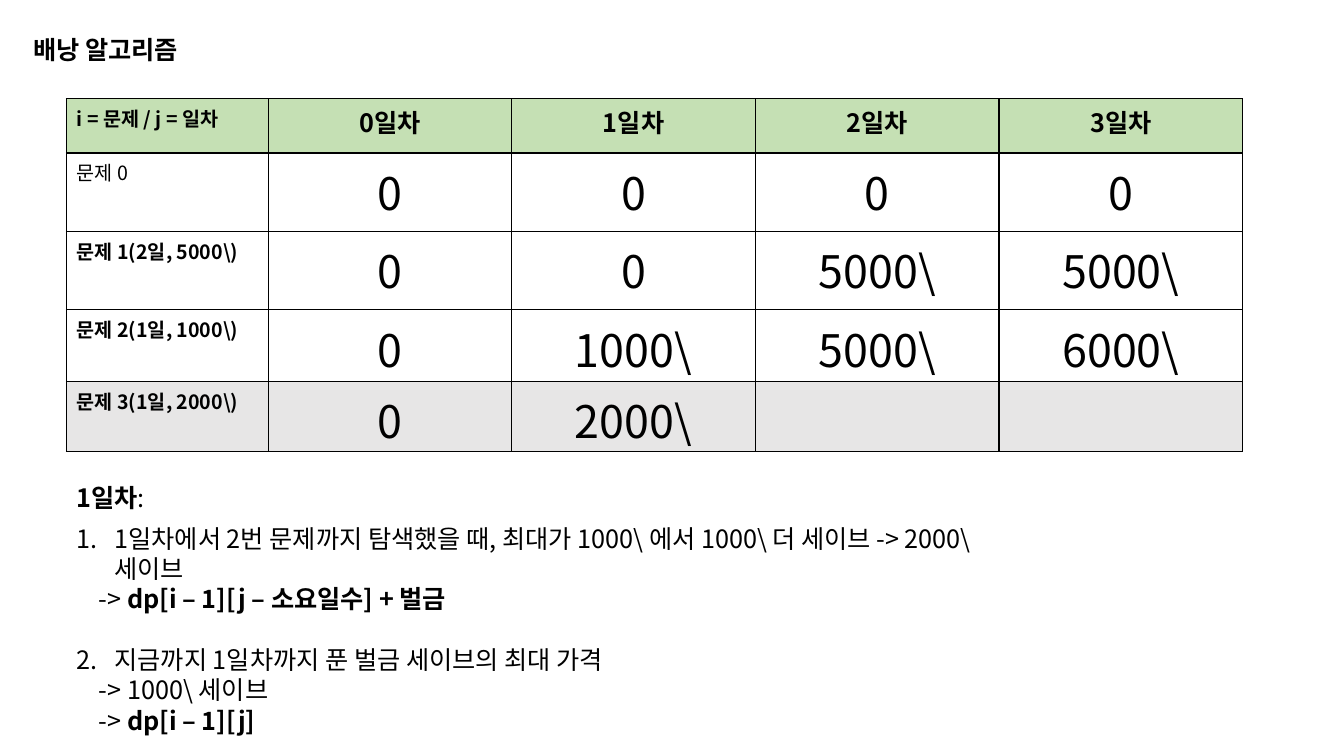
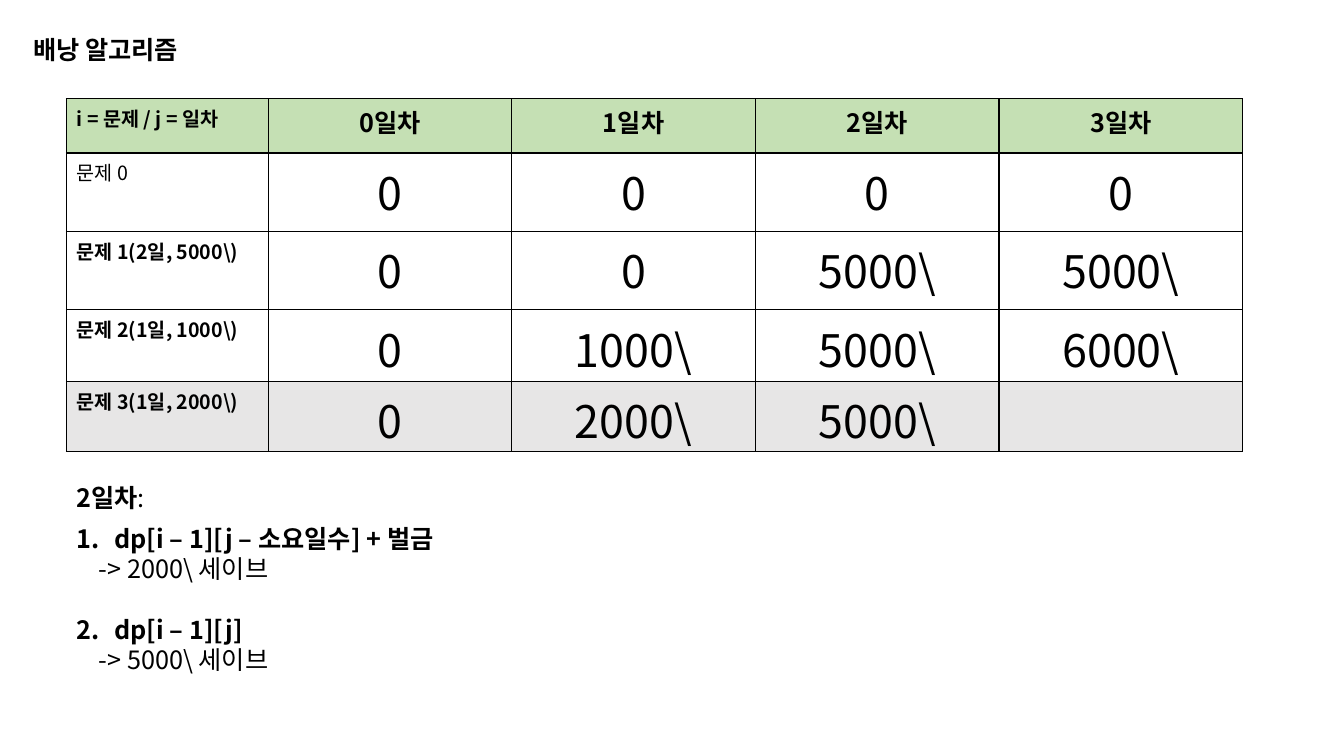
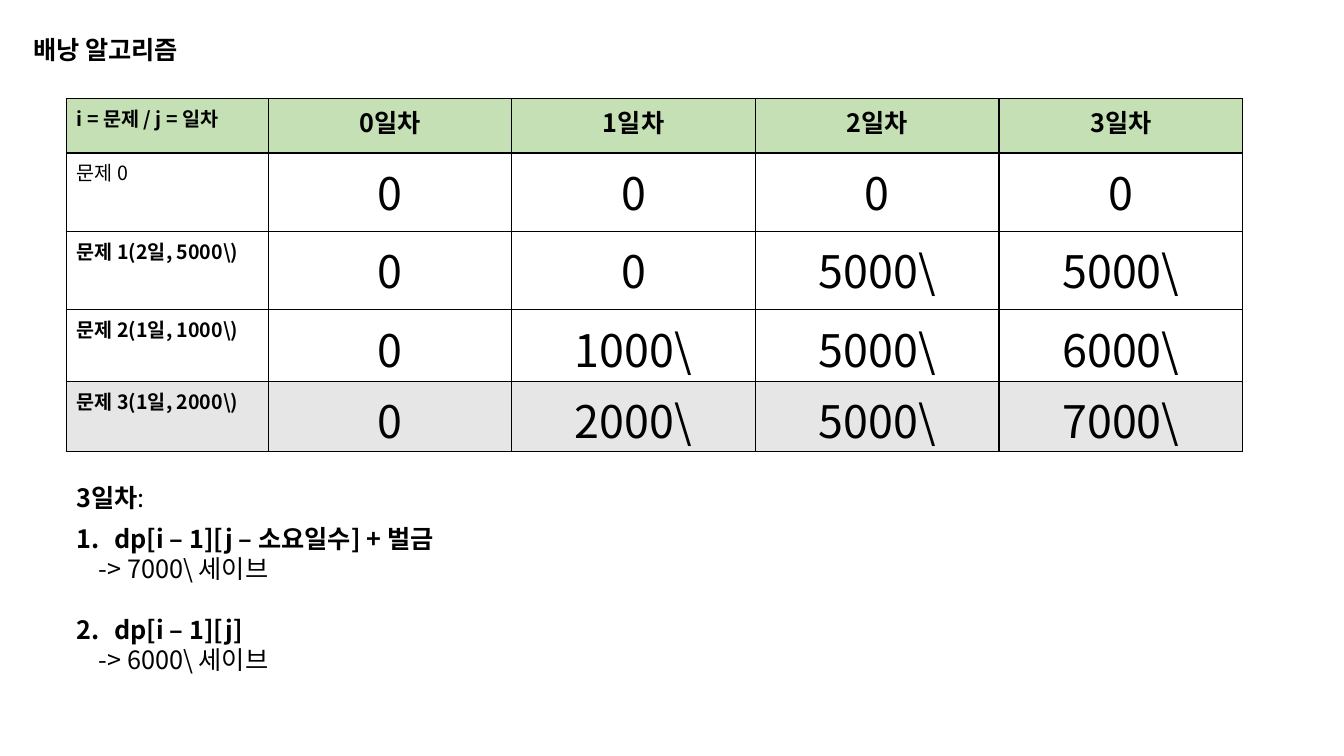
import pptx
import pptx.util
import pptx.dml.color
import pptx.enum.text
import pptx.oxml.ns
import lxml.etree

deck = pptx.Presentation()
deck.slide_width = pptx.util.Inches(13.33)
deck.slide_height = pptx.util.Inches(7.5)
wide = deck.slide_width / 100
tall = deck.slide_height / 100

ink = {"text": "000000", "head": "C5E0B4", "last": "E7E6E6"}
face = "Noto Sans CJK KR"
align = pptx.enum.text.PP_ALIGN
qn = pptx.oxml.ns.qn

widths = [15] + [18.13] * 4
heights = [7.2, 10.4, 10.35, 9.45, 9.05]
left = 4.95
step = 2.82 * wide
inset = 1.65 * wide
line = 21.8

grid = [
    ["i = 문제 / j = 일차"] + [f"{day}일차" for day in range(4)],
    ["문제 0", "0", "0", "0", "0"],
    ["문제 1(2일, 5000\\)", "0", "0", "5000\\", "5000\\"],
    ["문제 2(1일, 1000\\)", "0", "1000\\", "5000\\", "6000\\"],
    ["문제 3(1일, 2000\\)", "0", "2000\\", "5000\\", "7000\\"],
]
take = "dp[i – 1][j – 소요일수] + 벌금"
skip = "dp[i – 1][j]"
days = [
    [
        (1, "1일차에서 2번 문제까지 탐색했을 때, 최대가 1000\\ 에서 1000\\ 더 세이브 -> 2000\\ 세이브", ""),
        (0, "-> ", take),
        (2, "지금까지 1일차까지 푼 벌금 세이브의 최대 가격", ""),
        (0, "-> 1000\\ 세이브", ""),
        (0, "-> ", skip),
    ]
] + [
    [(1, "", take), (0, f"-> {gain}\\ 세이브", ""), (2, "", skip), (0, f"-> {keep}\\ 세이브", "")]
    for gain, keep in [(2000, 5000), (7000, 6000)]
]


def write(para, plain, strong, size, side=align.LEFT):
    para.alignment = side
    para.line_spacing = 1.0
    para.space_before = para.space_after = pptx.util.Pt(0)
    font = para.font
    font.name = face
    font.size = pptx.util.Pt(size)
    font.color.rgb = pptx.dml.color.RGBColor.from_string(ink["text"])
    base = para._p.pPr.find(qn("a:defRPr"))
    lxml.etree.SubElement(base, qn("a:ea"), typeface=face)
    parts = [(text, bold) for text, bold in [(plain, False), (strong, True)] if text]
    font.bold = bool(strong) and not plain
    for text, bold in parts:
        run = para.add_run()
        run.text = text
        if len(parts) > 1:
            run.font.bold = bold


def place(shape, left, top, width, height):
    shape.left, shape.width = int(left * wide), int(width * wide)
    shape.top, shape.height = int(top * tall), int(height * tall)
    frame = shape.text_frame
    frame.word_wrap = True
    frame.auto_size = pptx.enum.text.MSO_AUTO_SIZE.NONE
    frame.vertical_anchor = pptx.enum.text.MSO_ANCHOR.TOP
    return frame


for day, steps in enumerate(days, 1):
    slide = deck.slides.add_slide(deck.slide_layouts[1])
    title = place(slide.shapes.title, 1.72, 3.85, 14.1, 5.4)
    write(title.paragraphs[0], "", "배낭 알고리즘", 18)

    table = slide.shapes.add_table(
        len(grid), len(widths), int(left * wide), int(13.05 * tall),
        int(sum(widths) * wide), int(sum(heights) * tall),
    ).table
    table.horz_banding = table.first_row = False
    for col, width in zip(table.columns, widths):
        col.width = int(width * wide)
    for row, height in zip(table.rows, heights):
        row.height = int(height * tall)
    for r, texts in enumerate(grid):
        for c, text in enumerate(texts):
            cell = table.cell(r, c)
            cell.margin_bottom = 0
            shade = {0: "head", 4: "last"}.get(r)
            if shade:
                cell.fill.solid()
                cell.fill.fore_color.rgb = pptx.dml.color.RGBColor.from_string(ink[shade])
            else:
                cell.fill.background()
            if r == 4 and c > day + 1:
                text = ""
            bold = r == 0 or (c == 0 and r > 1)
            size = 14 if c == 0 else 18 if r == 0 else 32
            side = align.CENTER if c else align.LEFT
            write(cell.text_frame.paragraphs[0], "" if bold else text, text if bold else "", size, side)
            props = cell._tc.get_or_add_tcPr()
            for spot, edge in enumerate(["lnL", "lnR", "lnT", "lnB"]):
                rule = lxml.etree.Element(qn("a:" + edge), w="12700")
                fill = lxml.etree.SubElement(rule, qn("a:solidFill"))
                lxml.etree.SubElement(fill, qn("a:srgbClr"), val=ink["text"])
                props.insert(spot, rule)

    label = place(slide.shapes.add_textbox(0, 0, 0, 0), left, 63.2, 31.8, 5.4)
    head = label.paragraphs[0]
    write(head, "", f"{day}일차", 18)
    colon = head.add_run()
    colon.text = ":"
    colon.font.bold = False

    body = place(slide.placeholders[1], left, 68.55, 68.85, 29.6 if day == 1 else 21.6)
    for n, (num, plain, strong) in enumerate(steps):
        para = body.add_paragraph() if n else body.paragraphs[0]
        write(para, plain, strong, 18)
        if num > 1:
            para.space_before = pptx.util.Pt(line)
        props = para._p.pPr
        props.set("marL", str(int(step if num else inset)))
        props.set("indent", str(int(-step if num else 0)))
        if num:
            mark = lxml.etree.Element(qn("a:buAutoNum"), type="arabicPeriod", startAt=str(num))
        else:
            mark = lxml.etree.Element(qn("a:buNone"))
        props.find(qn("a:defRPr")).addprevious(mark)

deck.save("out.pptx")
